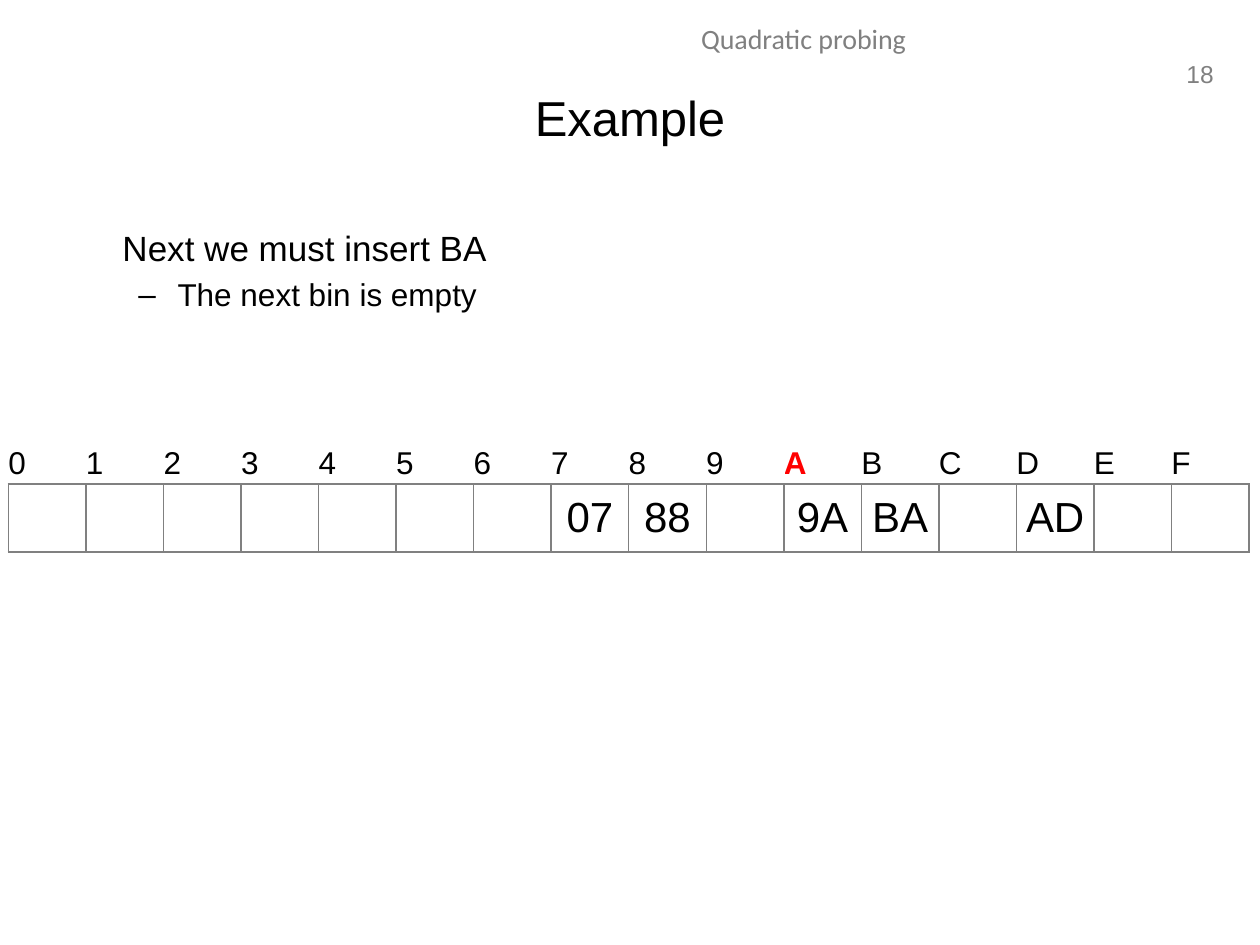
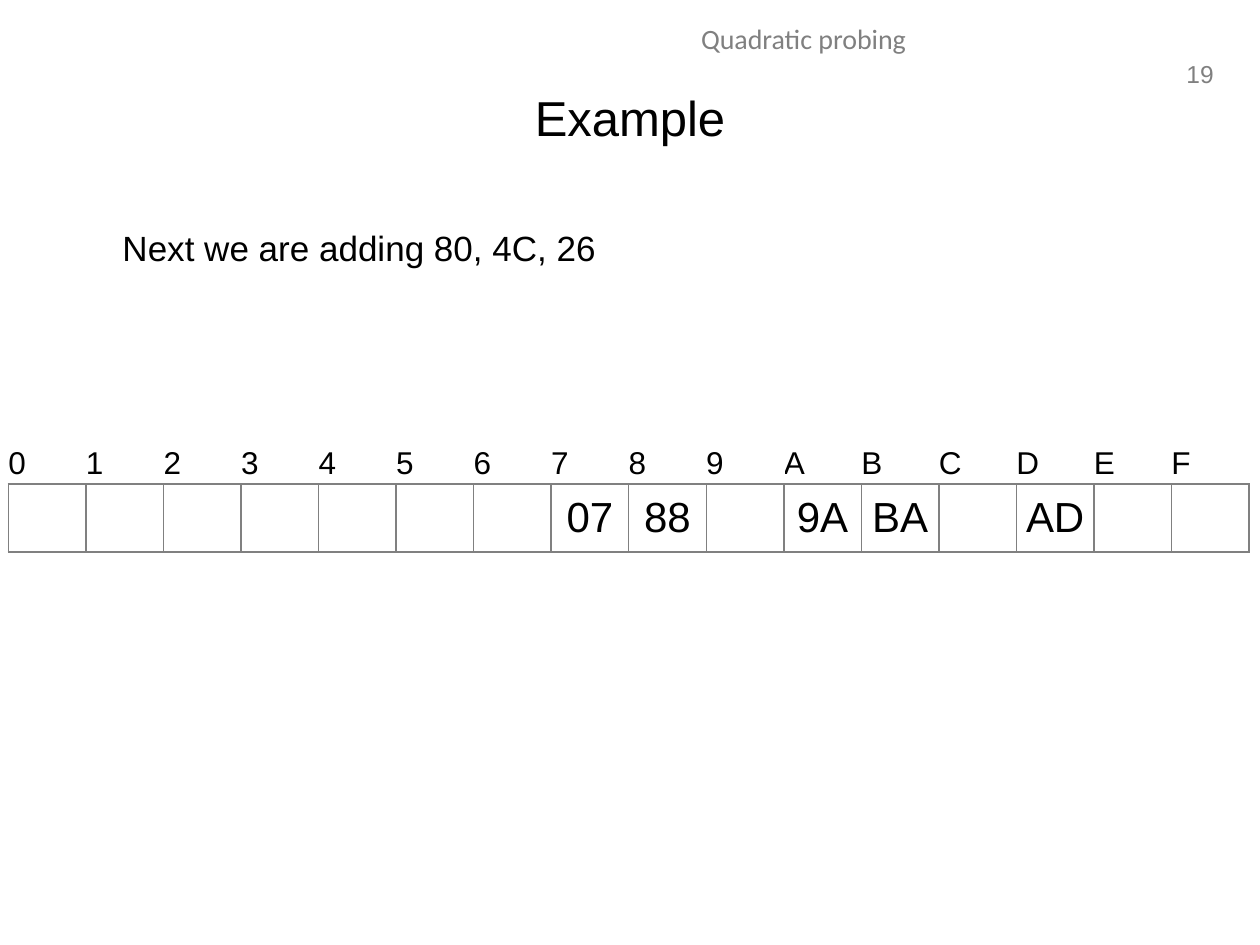
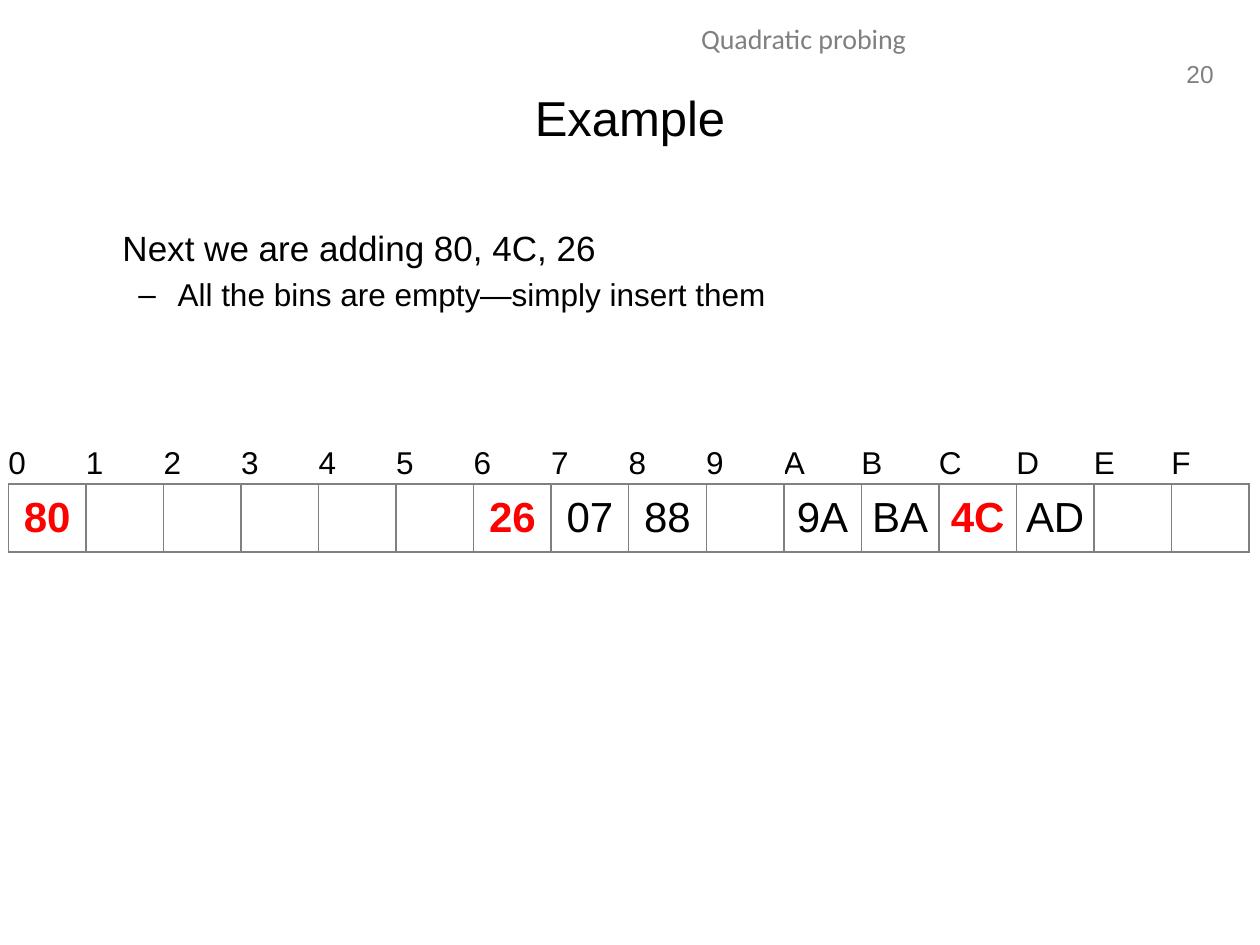
from lxml.etree import SubElement
from pptx import Presentation
from pptx.dml.color import RGBColor
from pptx.enum.text import MSO_ANCHOR as ANCHOR, PP_ALIGN as ALIGN
from pptx.oxml.ns import qn
from pptx.util import Cm, Pt

BLACK = RGBColor(0x00, 0x00, 0x00)
GRAY = RGBColor(0x80, 0x80, 0x80)
RED = RGBColor(0xFF, 0x00, 0x00)
TOPIC = "Quadratic probing"
TITLE = "Example"
FIRST_NUMBER = 18
BINS = "0123456789ABCDEF"
FILLED = {"7": "07", "8": "88", "A": "9A", "B": "BA", "D": "AD"}
ADDED = {"0": "80", "6": "26", "C": "4C"}
SLIDES = [
    ("Next we must insert BA", "The next bin is empty", FILLED, ("A",)),
    ("Next we are adding 80, 4C, 26", None, FILLED, ()),
    ("Next we are adding 80, 4C, 26", "All the bins are empty—simply insert them",
     FILLED | ADDED, tuple(ADDED.values())),
]


def format_runs(p, size, color=BLACK, font="Arial", bold=False):
    """Apply one font setting to every run of a paragraph."""
    for r in p.runs:
        r.font.name = font
        r.font.size = Pt(size)
        r.font.bold = bold
        r.font.color.rgb = color


def add_text(slide, box, text, size, align=ALIGN.LEFT, anchor=ANCHOR.TOP, **style):
    """Add a text box with one paragraph and return its text frame."""
    tf = slide.shapes.add_textbox(*(Cm(v) for v in box)).text_frame
    tf.word_wrap = True
    tf.vertical_anchor = anchor
    tf.text = text
    p = tf.paragraphs[0]
    p.alignment = align
    format_runs(p, size, **style)
    return tf


def set_indent(p, margin, first=0):
    """Set the left margin and first-line indent of a paragraph."""
    pPr = p._p.get_or_add_pPr()
    pPr.set("marL", str(Cm(margin)))
    pPr.set("indent", str(Cm(first)))
    return pPr


def add_body(slide, statement, detail):
    """Add the statement and, if there is one, its dashed detail."""
    tf = add_text(slide, (1.27, 4.45, 22.86, 12.57), statement, 20)
    set_indent(tf.paragraphs[0], 0.95)
    if detail:
        p = tf.add_paragraph()
        p.text = detail
        p.space_before = Pt(3.6)
        pPr = set_indent(p, 2.06, -0.79)
        SubElement(pPr, qn("a:buFont"), typeface="Arial")
        SubElement(pPr, qn("a:buChar"), char="–")
        format_runs(p, 18)


def set_borders(cell, sides):
    """Draw thin gray lines on the given sides of a cell."""
    tcPr = cell._tc.get_or_add_tcPr()
    for side in sides:
        ln = SubElement(tcPr, qn(f"a:ln{side}"), w=str(Pt(1)))
        fill = SubElement(ln, qn("a:solidFill"))
        SubElement(fill, qn("a:srgbClr"), val=str(GRAY))


def fill_cell(cell, text, size, align, sides, highlighted):
    """Set the text, borders and look of a table cell."""
    set_borders(cell, sides)
    cell.fill.background()
    cell.margin_left = cell.margin_right = cell.margin_top = cell.margin_bottom = 0
    cell.vertical_anchor = ANCHOR.MIDDLE
    cell.text = text
    p = cell.text_frame.paragraphs[0]
    p.alignment = align
    format_runs(p, size, RED if highlighted else BLACK, bold=highlighted)


def add_hash_table(slide, entries, highlights):
    """Add the row of bin labels over the row of bins."""
    width = Cm(25.02)
    frame = slide.shapes.add_table(2, len(BINS), Cm(0.17), Cm(8.92), width, Cm(2.21))
    table = frame.table
    table.first_row = table.horz_banding = False
    table.rows[0].height, table.rows[1].height = Cm(0.84), Cm(1.37)
    for i, label in enumerate(BINS):
        table.columns[i].width = width // len(BINS)
        entry = entries.get(label, "")
        fill_cell(table.cell(0, i), label, 18, ALIGN.LEFT, "B", label in highlights)
        fill_cell(table.cell(1, i), entry, 24, ALIGN.CENTER, "LRTB", entry in highlights)


def add_frame(slide, number):
    """Add the page number, topic and title that every slide has."""
    tf = add_text(slide, (23.6, 1.07, 1.12, 0.84), str(number), 14, ALIGN.RIGHT, color=GRAY)
    tf.word_wrap = False
    add_text(slide, (8.1, 0.3, 16.2, 1.02), TOPIC, 16, ALIGN.CENTER,
             color=GRAY, font="Calibri")
    add_text(slide, (1.27, 0.76, 22.86, 3.18), TITLE, 28, ALIGN.CENTER, ANCHOR.MIDDLE)


def main():
    """Build the three slides and save the presentation."""
    prs = Presentation()
    prs.slide_width, prs.slide_height = Cm(25.4), Cm(19.05)
    for number, (statement, detail, entries, highlights) in enumerate(SLIDES, FIRST_NUMBER):
        slide = prs.slides.add_slide(prs.slide_layouts[6])
        add_frame(slide, number)
        add_body(slide, statement, detail)
        add_hash_table(slide, entries, highlights)
    prs.save("out.pptx")


if __name__ == "__main__":
    main()
